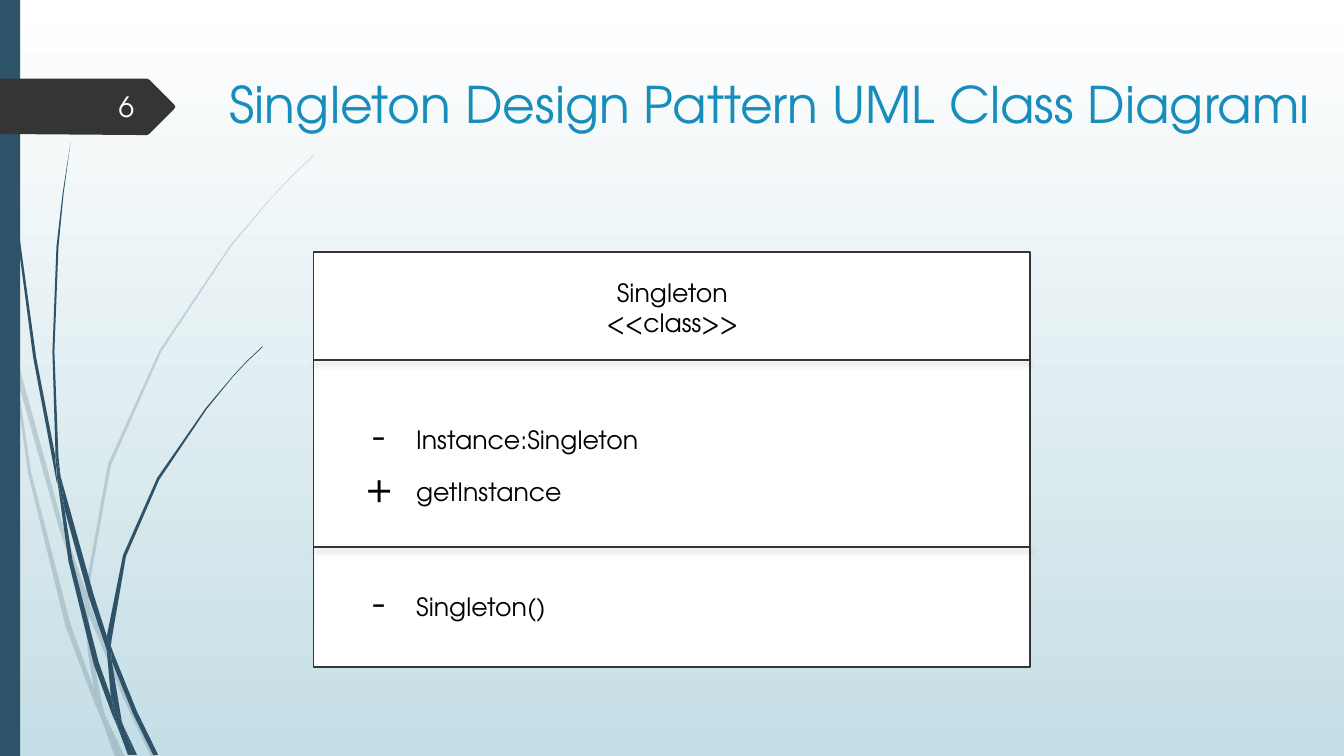
import pptx
import pptx.dml.color
import pptx.enum.shapes
import pptx.enum.text
import pptx.oxml
import pptx.oxml.ns
import pptx.util
from pptx.util import Cm

FONT = "TeX Gyre Adventor"
NAVY, CHARCOAL, BLUE = "2E5369", "353535", "178DBB"
WHITE, BLACK = "FFFFFF", "000000"
OUTLINE_UNIT = Cm(0.0254)  # outline points are in hundredths of an inch

PALE_WISPS = [
    [(11, 350), (9, 322), (0, 282), (0, 299), (10, 344)],
    [(58, 522), (84, 599), (85, 586), (62, 520), (14, 345), (17, 376)],
    [(92, 607), (88, 596), (88, 610), (123, 694), (150, 751), (155, 751), (127, 692)],
    [(119, 751), (124, 751), (105, 711)],
    [(93, 683), (70, 619), (31, 469), (17, 376), (11, 350), (28, 470), (65, 621),
     (92, 693), (101, 714), (99, 707)],
    [(84, 599), (87, 646), (93, 683), (96, 692), (105, 711), (103, 706), (91, 646),
     (88, 610), (88, 608)],
    [(88, 584), (110, 462), (160, 349), (229, 245), (268, 198), (290, 175), (312, 154),
     (312, 153), (289, 175), (268, 197), (228, 244), (158, 348), (107, 461), (85, 584),
     (85, 586), (88, 596)],
    [(101, 714), (114, 751), (119, 751)],
    [(88, 608), (88, 610), (88, 596), (85, 586), (84, 599)],
    [(96, 692), (93, 683), (99, 707), (101, 714), (119, 751), (105, 711)],
]
DARK_WISPS = [
    [(7, 110), (17, 233), (33, 355), (56, 477), (57, 481), (55, 457), (55, 453),
     (36, 355), (19, 232), (8, 109), (5, 48), (4, 0), (3, 0), (4, 48)],
    [(88, 592), (106, 645), (106, 633), (106, 631), (93, 590), (60, 472), (64, 505)],
    [(113, 649), (110, 641), (111, 656), (132, 708), (152, 749), (157, 749), (136, 706)],
    [(110, 691), (98, 657), (72, 556), (64, 505), (57, 477), (68, 557), (93, 659),
     (111, 708), (117, 722), (116, 717)],
    [(60, 472), (58, 453), (54, 349), (58, 245), (63, 193), (70, 141), (62, 193),
     (56, 245), (52, 349), (55, 449)],
    [(133, 749), (136, 749), (122, 719)],
    [(57, 477), (64, 505), (60, 472), (55, 449), (55, 453)],
    [(111, 633), (125, 552), (158, 476), (205, 406), (231, 374), (245, 359), (261, 344),
     (260, 344), (245, 358), (231, 373), (204, 405), (156, 474), (122, 551), (106, 631),
     (110, 641)],
    [(117, 722), (127, 749), (131, 749)],
    [(106, 645), (110, 691), (116, 706), (122, 719), (121, 716), (111, 656), (109, 651)],
    [(106, 645), (109, 651), (111, 656), (110, 641), (106, 631), (106, 633)],
    [(116, 706), (110, 691), (116, 717), (117, 722), (130, 749), (133, 749), (122, 719)],
]
NUMBER_TAG = [(0, 78), (146, 78), (148, 79), (173, 104), (174, 106), (173, 108),
              (148, 133), (146, 134), (136, 134), (0, 133)]


def rgb(color):
    return pptx.dml.color.RGBColor.from_string(color)


def drawing_xml(body):
    """Parse one element of the a: namespace."""
    tag, rest = body.split(" ", 1)
    return pptx.oxml.parse_xml(f"<a:{tag} {pptx.oxml.ns.nsdecls('a')} {rest}")


class Canvas:
    def __init__(self, slide):
        self.slide = slide
        self.shapes = slide.shapes

    def gradient_background(self, top, bottom):
        fill = self.slide.background.fill
        fill.gradient()
        fill.gradient_angle = 270
        for stop, color, position in zip(fill.gradient_stops, (top, bottom), (0, 1)):
            stop.color.rgb = rgb(color)
            stop.position = position

    def paint(self, shape, fill, line=None, width=1.25):
        shape.shadow.inherit = False
        shape.fill.solid()
        shape.fill.fore_color.rgb = rgb(fill)
        if line:
            shape.line.color.rgb = rgb(line)
            shape.line.width = pptx.util.Pt(width)
        else:
            shape.line.fill.background()

    def rectangle(self, left, top, width, height, fill, line=None):
        shape = self.shapes.add_shape(pptx.enum.shapes.MSO_SHAPE.RECTANGLE,
                                      Cm(left), Cm(top), Cm(width), Cm(height))
        self.paint(shape, fill, line)

    def outline(self, points, fill, opacity=100):
        builder = self.shapes.build_freeform(*points[0], scale=OUTLINE_UNIT)
        builder.add_line_segments(points[1:], close=True)
        shape = builder.convert_to_shape()
        self.paint(shape, fill)
        if opacity < 100:
            color = shape._element.spPr.find(".//" + pptx.oxml.ns.qn("a:srgbClr"))
            color.append(drawing_xml(f'alpha val="{opacity * 1000}"/>'))

    def divider(self, left, right, y):
        """Horizontal rule with a soft shadow below it."""
        rule = self.shapes.add_connector(pptx.enum.shapes.MSO_CONNECTOR.STRAIGHT,
                                         Cm(left), Cm(y), Cm(right), Cm(y))
        rule.line.color.rgb = rgb(CHARCOAL)
        rule.line.width = pptx.util.Pt(1.75)
        rule._element.spPr.append(drawing_xml(
            'effectLst ><a:outerShdw blurRad="38100" dist="25400" dir="5400000" '
            'rotWithShape="0"><a:srgbClr val="000000"><a:alpha val="25000"/>'
            '</a:srgbClr></a:outerShdw></a:effectLst>'))

    def text(self, box, lines, color, align="LEFT", anchor="TOP"):
        """Write lines, each a list of (text, size) pieces; return the paragraphs."""
        frame = self.shapes.add_textbox(*map(Cm, box)).text_frame
        frame.word_wrap = True
        frame.vertical_anchor = getattr(pptx.enum.text.MSO_ANCHOR, anchor)
        for index, pieces in enumerate(lines):
            paragraph = frame.add_paragraph() if index else frame.paragraphs[0]
            paragraph.alignment = getattr(pptx.enum.text.PP_ALIGN, align)
            for piece, size in pieces:
                run = paragraph.add_run()
                run.text = piece
                run.font.name = FONT
                run.font.size = pptx.util.Pt(size)
                run.font.color.rgb = rgb(color)
        return frame.paragraphs

    def member(self, top, pieces):
        """One class member: visibility sign, tab, name."""
        line, = self.text((8.97, top, 16.46, 1.45), [pieces], BLACK)
        line._p.get_or_add_pPr().append(drawing_xml(
            f'tabLst ><a:tab pos="{Cm(1.27)}" algn="l"/></a:tabLst>'))


def main():
    deck = pptx.Presentation()
    deck.slide_width, deck.slide_height = Cm(33.87), Cm(19.05)
    canvas = Canvas(deck.slides.add_slide(deck.slide_layouts[6]))

    canvas.gradient_background(WHITE, "C5DEE5")
    for wisps, opacity in ((PALE_WISPS, 20), (DARK_WISPS, 100)):
        for wisp in wisps:
            canvas.outline(wisp, NAVY, opacity)
    canvas.rectangle(0, 0, 0.51, 19.05, NAVY)
    canvas.outline(NUMBER_TAG, CHARCOAL)

    canvas.text((5.54, 1.73, 27.94, 3.56),
                [[("Singleton Design Pattern UML Class Diagramı", 36)]], BLUE)
    canvas.text((1.47, 2.18, 2.16, 1.02), [[("6", 20)]], "FEFFFF", "RIGHT", "MIDDLE")

    class_left, class_width = 7.9, 18.06
    canvas.rectangle(class_left, 6.35, class_width, 10.46, WHITE, CHARCOAL)
    for y in (9.07, 13.79):
        canvas.divider(class_left, class_left + class_width, y)
    canvas.text((14.99, 6.86, 3.91, 1.8),
                [[("Singleton", 18)], [("<<class>>", 18)]], BLACK, "CENTER")
    canvas.member(10.21, [(" ", 18), ("-", 28), ("\tInstance:Singleton", 18)])
    canvas.member(14.43, [(" ", 18), ("-", 28), ("\tSingleton()", 18)])
    canvas.member(11.53, [("+", 28), ("\tgetInstance", 18)])

    deck.save("out.pptx")


if __name__ == "__main__":
    main()
